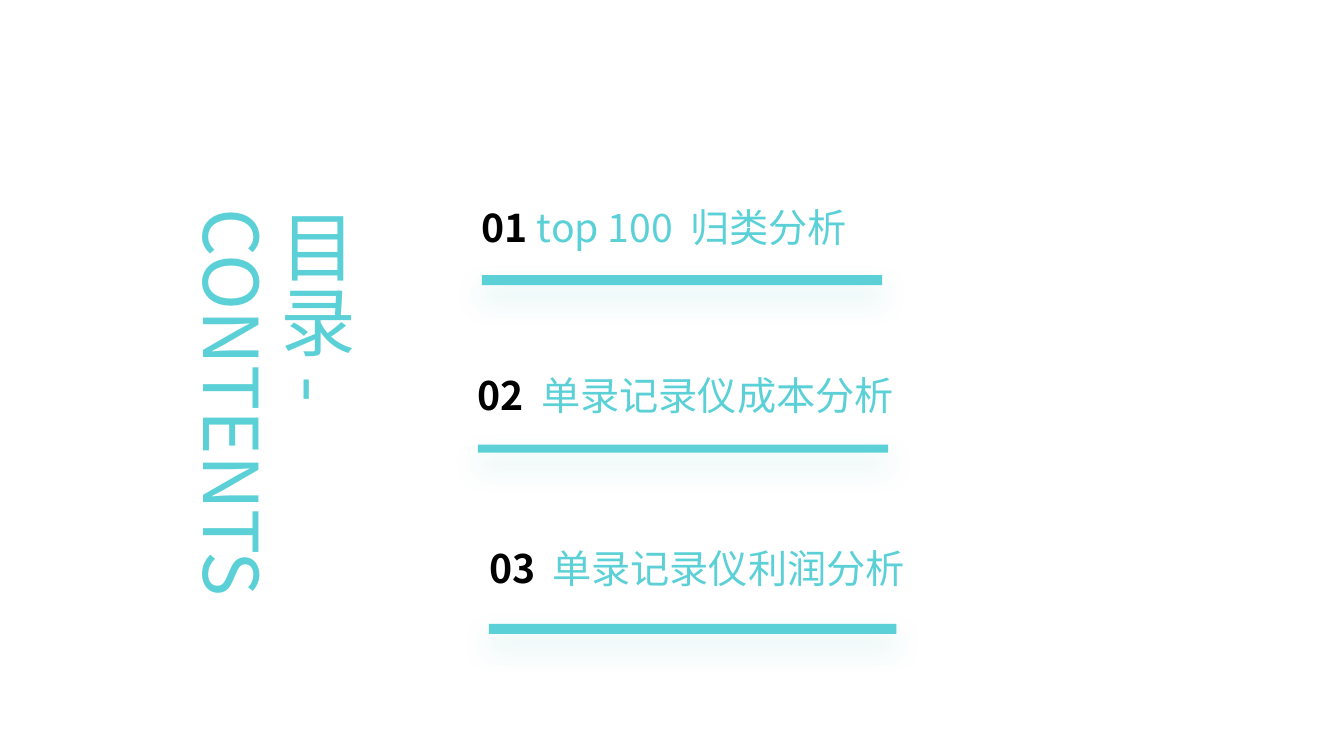
from dataclasses import dataclass

from lxml import etree
from pptx import Presentation
from pptx.dml.color import RGBColor
from pptx.enum.shapes import MSO_SHAPE
from pptx.enum.text import MSO_ANCHOR, MSO_AUTO_SIZE, PP_ALIGN
from pptx.oxml.ns import qn
from pptx.util import Inches, Pt

RECTANGLE = MSO_SHAPE.RECTANGLE
TOP = MSO_ANCHOR.TOP
LEFT = PP_ALIGN.LEFT
NO_AUTOFIT = MSO_AUTO_SIZE.NONE
TITLE_ONLY = 5


@dataclass(frozen=True)
class Theme:
    font: str = "Noto Sans CJK SC"
    accent: str = "5BD1D7"
    number: str = "000000"
    shadow: str = "2DB2B8"
    title_size: int = 54
    entry_size: int = 28
    wide_gap: int = 6


def add_run(paragraph, text, *, font, size, color, bold=False, spacing=0):
    run = paragraph.add_run()
    run.text = text
    run.font.name = font
    run.font.size = Pt(size)
    run.font.bold = bold
    run.font.color.rgb = RGBColor.from_string(color)
    properties = run.font._element
    etree.SubElement(properties, qn("a:ea"), typeface=font)
    if spacing:
        properties.set("spc", str(spacing * 100))


class ContentsSlide:
    def __init__(self, presentation, theme):
        self.theme = theme
        self.slide = presentation.slides.add_slide(presentation.slide_layouts[TITLE_ONLY])

    def vertical_title(self, text, left, top, width, height):
        title = self.slide.shapes.title
        title.left, title.top = Inches(left), Inches(top)
        title.width, title.height = Inches(width), Inches(height)
        frame = title.text_frame
        frame.auto_size = NO_AUTOFIT
        frame.word_wrap = True
        frame.vertical_anchor = TOP
        frame._txBody.bodyPr.set("vert", "eaVert")
        heading = frame.paragraphs[0]
        heading.alignment = LEFT
        heading.line_spacing = 0.9
        add_run(heading, text, font=self.theme.font, size=self.theme.title_size,
                color=self.theme.accent)

    def entry(self, number, lead, label, left, top, width, height):
        theme = self.theme
        box = self.slide.shapes.add_textbox(
            Inches(left), Inches(top), Inches(width), Inches(height))
        frame = box.text_frame
        frame.word_wrap = True
        frame.margin_left = frame.margin_right = 0
        frame.margin_top = frame.margin_bottom = 0
        line = frame.paragraphs[0]
        style = {"font": theme.font, "size": theme.entry_size}
        add_run(line, number, color=theme.number, bold=True, **style)
        if lead:
            add_run(line, f" {lead}", color=theme.accent, **style)
        add_run(line, " ", color=theme.accent, spacing=theme.wide_gap, **style)
        add_run(line, label, color=theme.accent, **style)

    def underline(self, left, top, width, height):
        bar = self.slide.shapes.add_shape(
            RECTANGLE, Inches(left), Inches(top), Inches(width), Inches(height))
        bar.fill.solid()
        bar.fill.fore_color.rgb = RGBColor.from_string(self.theme.accent)
        bar.line.fill.background()
        bar.shadow.inherit = False
        effects = bar._element.spPr.find(qn("a:effectLst"))
        glow = etree.SubElement(
            effects, qn("a:outerShdw"), blurRad=str(Pt(20)), dist=str(Pt(10)),
            dir=str(90 * 60000), algn="t", rotWithShape="0")
        tint = etree.SubElement(glow, qn("a:srgbClr"), val=self.theme.shadow)
        etree.SubElement(tint, qn("a:alpha"), val="20000")


def main():
    presentation = Presentation()
    presentation.slide_width = Inches(13.33)
    presentation.slide_height = Inches(7.5)
    contents = ContentsSlide(presentation, Theme())

    contents.vertical_title("目录 - CONTENTS", 1.62, 2.02, 1.96, 4.72)

    entries = [
        ("01", "top 100", "归类分析", 4.78, (2.02, 3.95, 0.72), (2.73, 3.97, 0.1)),
        ("02", "", "单录记录仪成本分析", 4.74, (3.68, 5.11, 0.59), (4.41, 4.07, 0.08)),
        ("03", "", "单录记录仪利润分析", 4.85, (5.4, 4.22, 0.67), (6.19, 4.04, 0.1)),
    ]
    for number, lead, label, left, text_area, bar_area in entries:
        contents.entry(number, lead, label, left, *text_area)
        contents.underline(left, *bar_area)

    presentation.save("out.pptx")


if __name__ == "__main__":
    main()
